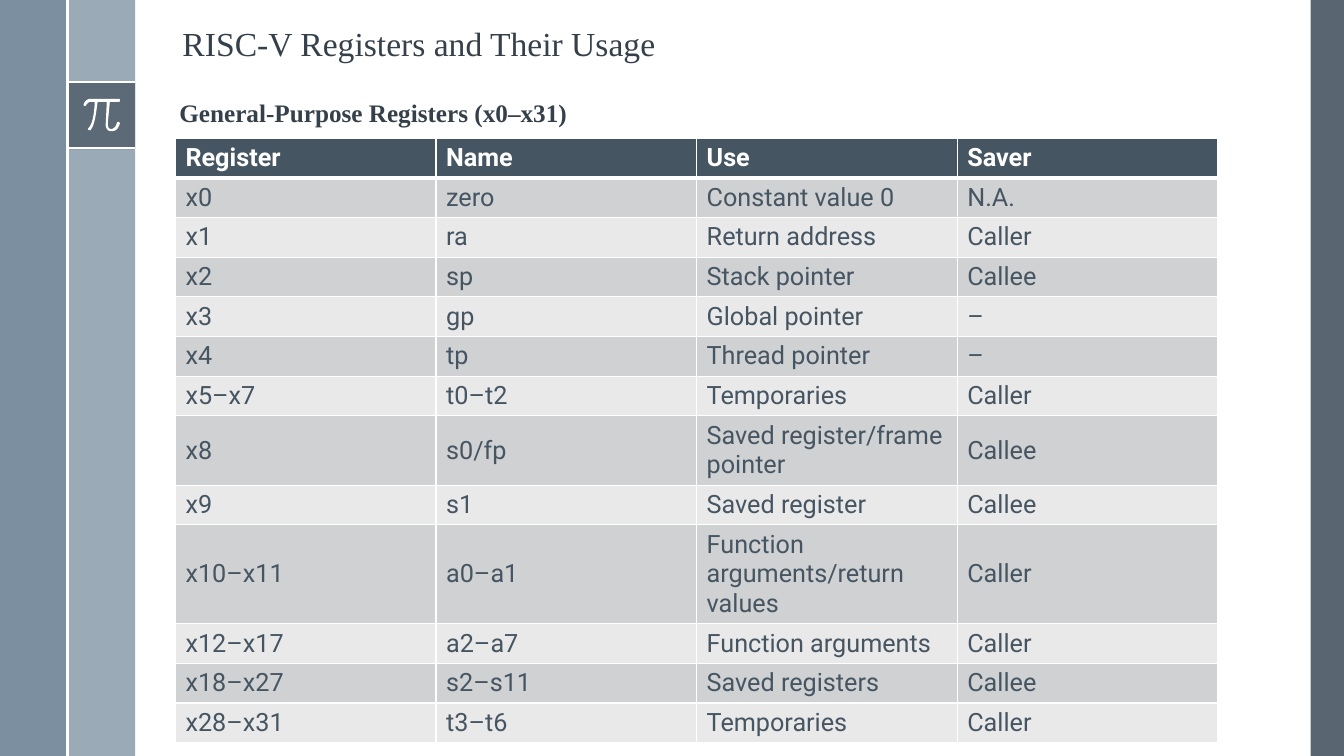
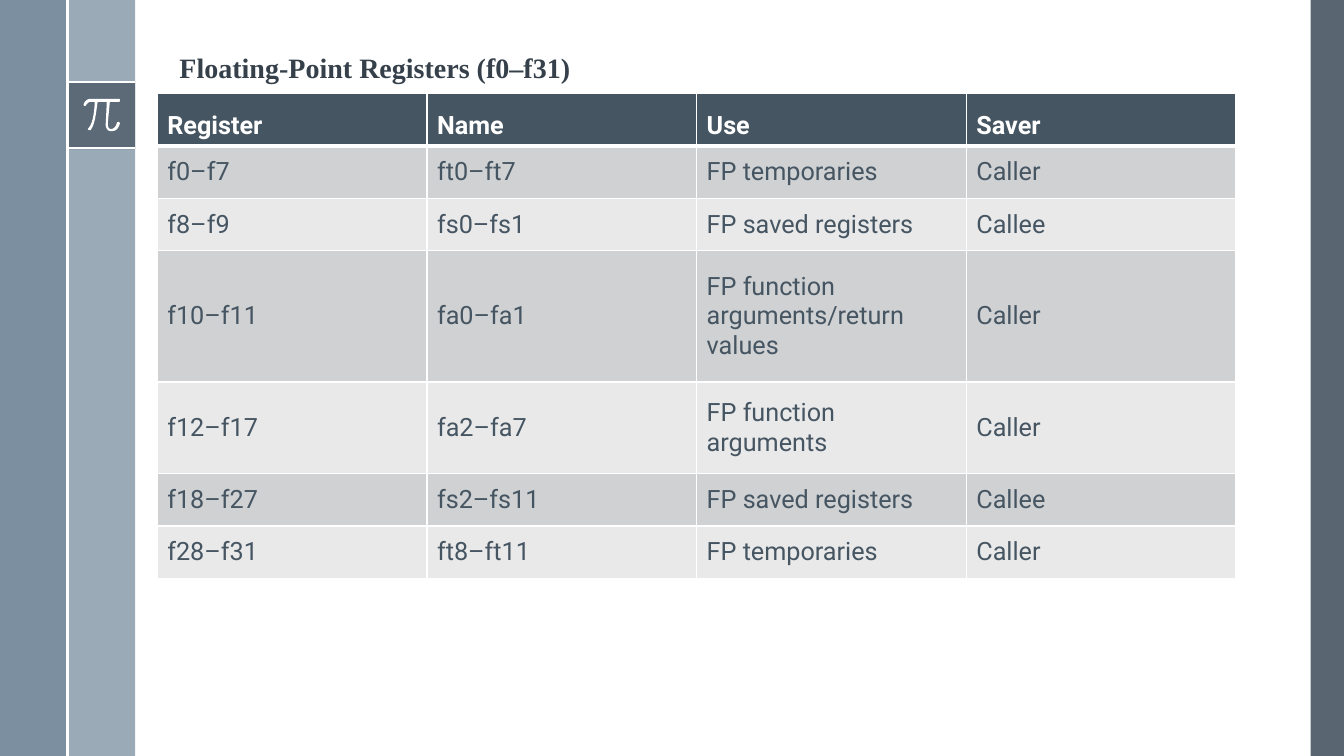
from lxml import etree
from pptx import Presentation
from pptx.dml.color import RGBColor
from pptx.enum.shapes import MSO_CONNECTOR as CONN, MSO_SHAPE as SHAPE
from pptx.enum.text import MSO_ANCHOR as ANCHOR
from pptx.oxml import parse_xml
from pptx.oxml.ns import nsdecls, qn
from pptx.util import Inches, Pt


class Theme:
    white = "FFFFFF"
    title = "35404A"
    slate = "475562"
    pale = "9BAAB7"
    blue = "6A8093"
    header = "465562"
    bands = ("CFD1D3", "E9E9EA")
    title_font = "Times New Roman"
    body_font = "Roboto"
    title_size = 24
    cell_size = 18


# Content
COLUMNS = ("Register", "Name", "Use", "Saver")
GENERAL = [
    ("x0", "zero", "Constant value 0", "N.A."),
    ("x1", "ra", "Return address", "Caller"),
    ("x2", "sp", "Stack pointer", "Callee"),
    ("x3", "gp", "Global pointer", "–"),
    ("x4", "tp", "Thread pointer", "–"),
    ("x5–x7", "t0–t2", "Temporaries", "Caller"),
    ("x8", "s0/fp", "Saved register/frame pointer", "Callee"),
    ("x9", "s1", "Saved register", "Callee"),
    ("x10–x11", "a0–a1", "Function arguments/return values", "Caller"),
    ("x12–x17", "a2–a7", "Function arguments", "Caller"),
    ("x18–x27", "s2–s11", "Saved registers", "Callee"),
    ("x28–x31", "t3–t6", "Temporaries", "Caller"),
]
FLOATING = [
    ("f0–f7", "ft0–ft7", "FP temporaries", "Caller"),
    ("f8–f9", "fs0–fs1", "FP saved registers", "Callee"),
    ("f10–f11", "fa0–fa1", "FP function arguments/return values", "Caller"),
    ("f12–f17", "fa2–fa7", "FP function arguments", "Caller"),
    ("f18–f27", "fs2–fs11", "FP saved registers", "Callee"),
    ("f28–f31", "ft8–ft11", "FP temporaries", "Caller"),
]
# Headings: text, left, top, size, bold
# Tables: left, top, width, usual row height, taller rows by index
SLIDES = [
    {"headings": [
        ("RISC-V Registers and Their Usage", 1.59, 0.09, Theme.title_size, False),
        ("General-Purpose Registers (x0–x31)", 1.56, 0.73, 18, True)],
     "rows": GENERAL, "table": (1.74, 1.37, 10.34, 0.37, {7: 0.64, 9: 0.91})},
    {"headings": [
        ("Floating-Point Registers (f0–f31)", 1.56, 0.29, 20, True)],
     "rows": FLOATING, "table": (1.56, 0.93, 10.7, 0.52, {3: 1.3, 4: 0.91})},
]

# Bands: left, top, width, height, colour, opacity in percent
BANDS = [
    (13, 0, 0.33, 7.5, Theme.slate, 90),
    (0.67, 0, 0.67, 7.5, Theme.pale, 100),
    (0, 0, 0.67, 7.5, Theme.blue, 88),
    (0.67, 0.81, 0.67, 0.67, Theme.slate, 75),
]
RULES = [(0.67, 0.81, 1.34, 0.81), (0.67, 1.47, 1.34, 1.47), (0.67, 0, 0.67, 7.5)]

# Pi outline in hundredths of an inch: two numbers a line, six a Bézier curve
PI_START = (118, 98)
PI_STEPS = [
    (90, 98), (85, 98, 83, 103, 83, 104), (83, 104, 83, 105, 84, 105),
    (85, 105), (85, 105, 87, 101, 90, 101), (94, 101),
    (94, 105, 93, 122, 88, 127), (87, 128, 87, 128, 88, 129), (90, 129),
    (95, 123, 96, 105, 97, 101), (106, 101), (105, 122),
    (105, 122, 104, 126, 107, 129), (108, 130, 109, 130, 110, 130), (112, 130),
    (117, 130, 119, 123, 119, 122), (118, 121), (117, 121, 116, 121, 116, 122),
    (116, 122, 115, 127, 111, 128), (110, 128, 109, 128, 108, 127),
    (107, 126, 107, 123, 107, 122), (109, 101), (118, 101),
    (119, 101, 119, 100, 119, 100), (119, 99, 119, 98, 118, 98),
]


def rgb(colour):
    return RGBColor.from_string(colour)


def paint(shape, colour, opacity=100):
    shape.shadow.inherit = False
    shape.fill.solid()
    shape.fill.fore_color.rgb = rgb(colour)
    shape.line.fill.background()
    if opacity < 100:
        clr = shape.fill._xPr.find(qn("a:solidFill"))[0]
        etree.SubElement(clr, qn("a:alpha")).set("val", str(opacity * 1000))


def pi_points(samples=8):
    points = [PI_START]
    for step in PI_STEPS:
        if len(step) == 2:
            points.append(step)
            continue
        start, c1, c2, end = points[-1], step[:2], step[2:4], step[4:]
        for i in range(1, samples + 1):
            t = i / samples
            u = 1 - t
            points.append(tuple(
                u**3 * a + 3 * u * u * t * b + 3 * u * t * t * c + t**3 * d
                for a, b, c, d in zip(start, c1, c2, end)))
    return [(Inches(x / 100), Inches(y / 100)) for x, y in points]


def add_frame(s):
    # Side bands, white rules and the pi sign
    for left, top, width, height, colour, opacity in BANDS:
        band = s.shapes.add_shape(SHAPE.RECTANGLE, Inches(left), Inches(top),
                                  Inches(width), Inches(height))
        paint(band, colour, opacity)
    for ends in RULES:
        rule = s.shapes.add_connector(CONN.STRAIGHT, *map(Inches, ends))
        rule.line.color.rgb = rgb(Theme.white)
        rule.line.width = Pt(1.5)
        etree.SubElement(rule._element.spPr, qn("a:effectLst"))
    points = pi_points()
    builder = s.shapes.build_freeform(*points[0])
    builder.add_line_segments(points[1:], close=True)
    paint(builder.convert_to_shape(), Theme.white)


def add_heading(s, text, left, top, size, bold):
    tf = s.shapes.add_textbox(Inches(left), Inches(top),
                              Inches(10.7), Inches(0.64)).text_frame
    tf.word_wrap = True
    tf.vertical_anchor = ANCHOR.BOTTOM
    tf.margin_left = Inches(0.22)
    tf.margin_bottom = Inches(0.1)
    set_text(tf, text, Theme.title_font, size, Theme.title, bold)


def set_text(tf, text, name, size, colour, bold):
    p = tf.paragraphs[0]
    p.text = text
    p.font.name = name
    p.font.size = Pt(size)
    p.font.bold = bold
    p.font.color.rgb = rgb(colour)


def set_borders(cell, top, bottom):
    tc_pr = cell._tc.get_or_add_tcPr()
    sides = (("lnL", 1), ("lnR", 1), ("lnT", top), ("lnB", bottom))
    for i, (side, width) in enumerate(sides):
        tc_pr.insert(i, parse_xml(
            f'<a:{side} {nsdecls("a")} w="{Pt(width)}"><a:solidFill>'
            f'<a:srgbClr val="{Theme.white}"/></a:solidFill></a:{side}>'))


def add_register_table(s, rows, left, top, width, row_height, tall):
    rows = [COLUMNS, *rows]
    heights = [Inches(tall.get(i, row_height)) for i in range(len(rows))]
    table = s.shapes.add_table(len(rows), len(COLUMNS), Inches(left), Inches(top),
                               Inches(width), sum(heights)).table
    for column in table.columns:
        column.width = Inches(width / len(COLUMNS))
    for i, values in enumerate(rows):
        table.rows[i].height = heights[i]
        head = i == 0
        for cell, value in zip(table.rows[i].cells, values):
            cell.fill.solid()
            cell.fill.fore_color.rgb = rgb(
                Theme.header if head else Theme.bands[(i - 1) % 2])
            cell.vertical_anchor = ANCHOR.BOTTOM if head else ANCHOR.MIDDLE
            set_text(cell.text_frame, value, Theme.body_font, Theme.cell_size,
                     Theme.white if head else Theme.header, head)
            set_borders(cell, top=3 if i == 1 else 1, bottom=3 if head else 1)


def main():
    prs = Presentation()
    prs.slide_width, prs.slide_height = Inches(13.33), Inches(7.5)
    for content in SLIDES:
        s = prs.slides.add_slide(prs.slide_layouts[6])
        add_frame(s)
        add_register_table(s, content["rows"], *content["table"])
        for heading in content["headings"]:
            add_heading(s, *heading)
    prs.save("out.pptx")


if __name__ == "__main__":
    main()
